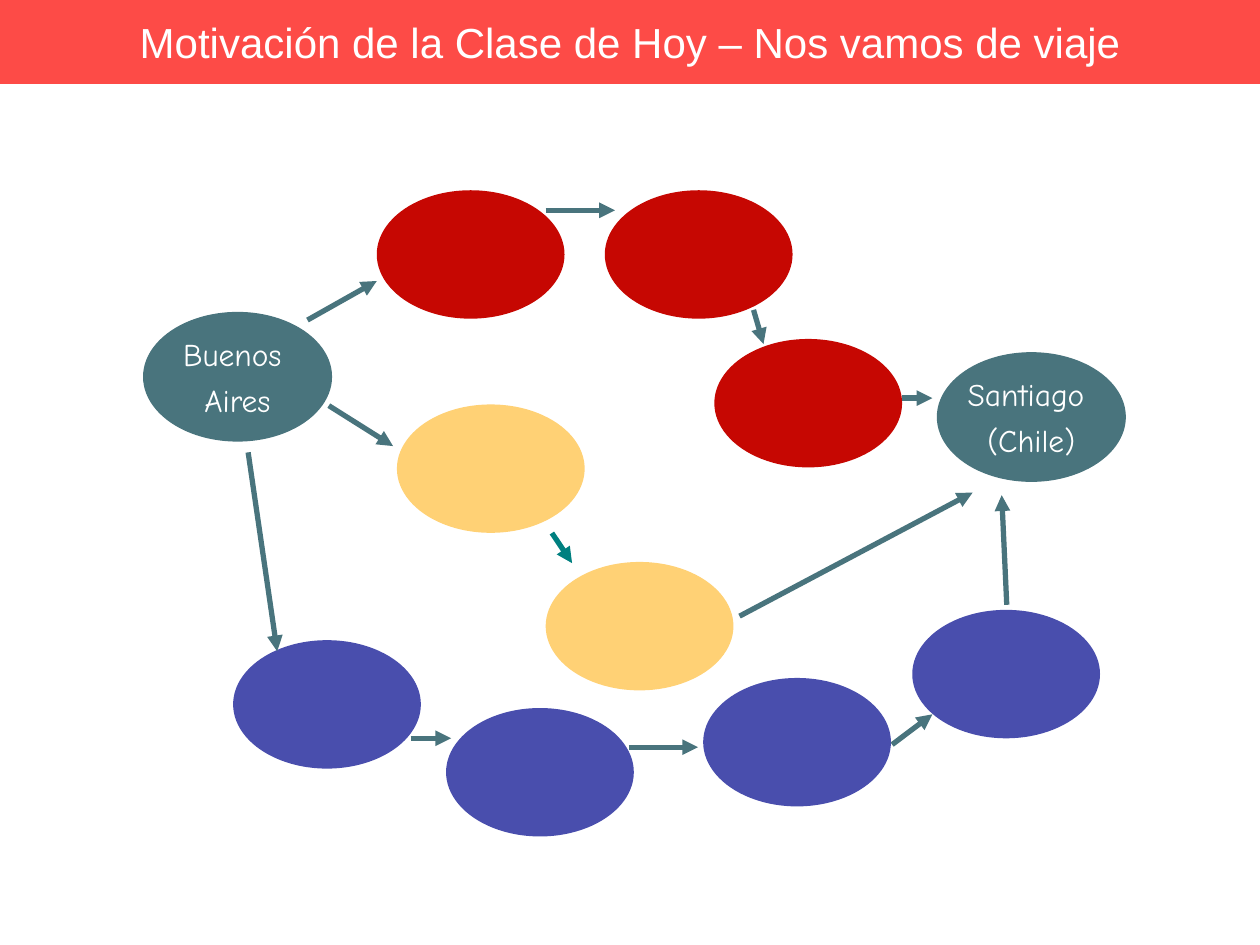
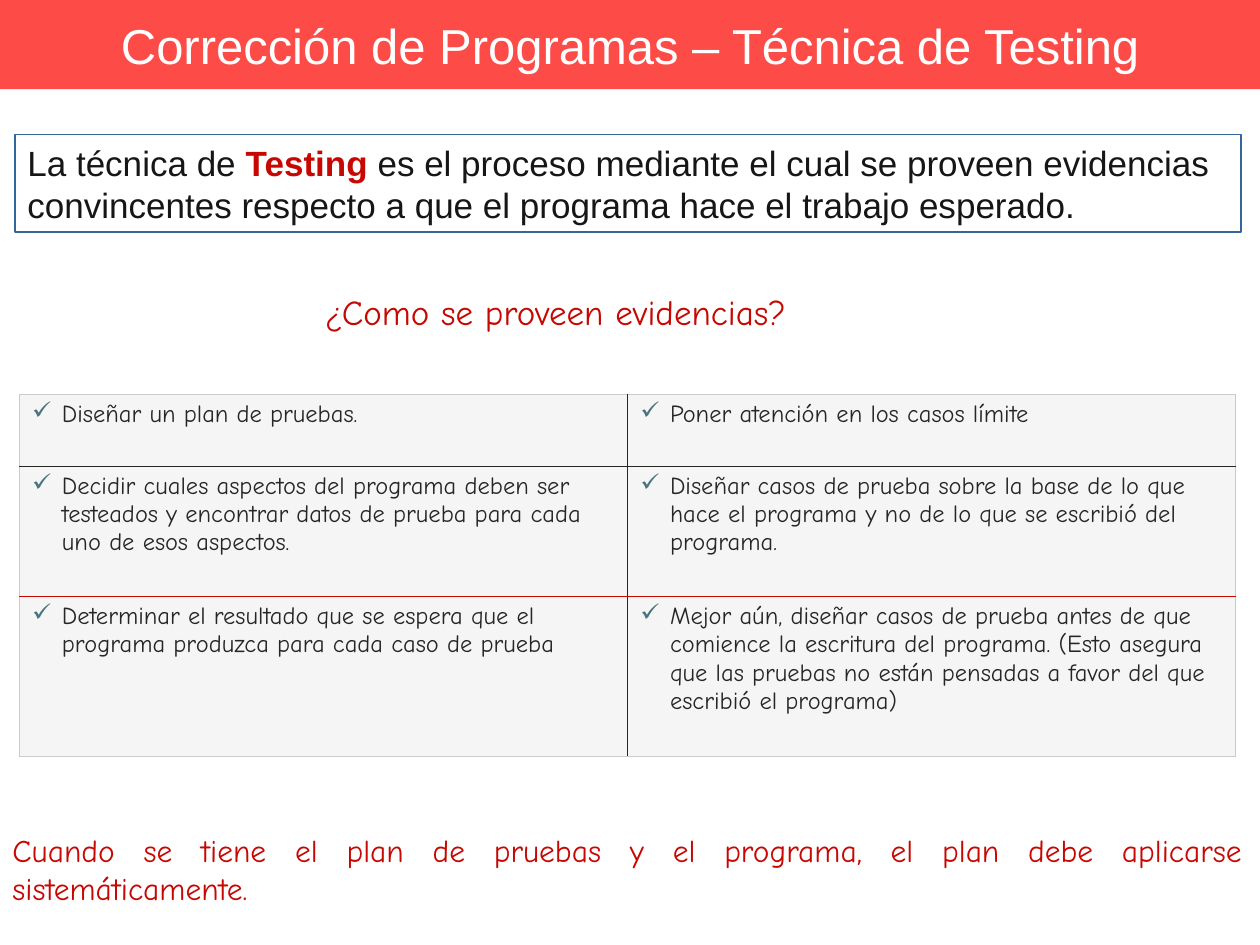
"""Builds two class slides: a travel route diagram and the testing technique."""
from lxml import etree
from pptx import Presentation
from pptx.dml.color import RGBColor
from pptx.enum.shapes import MSO_CONNECTOR, MSO_SHAPE
from pptx.enum.text import MSO_ANCHOR, PP_ALIGN
from pptx.oxml.ns import qn
from pptx.util import Pt

RECTANGLE, OVAL = MSO_SHAPE.RECTANGLE, MSO_SHAPE.OVAL
STRAIGHT = MSO_CONNECTOR.STRAIGHT
TOP, MIDDLE = MSO_ANCHOR.TOP, MSO_ANCHOR.MIDDLE
LEFT, CENTER, JUSTIFY = PP_ALIGN.LEFT, PP_ALIGN.CENTER, PP_ALIGN.JUSTIFY

CORAL, WHITE, SLATE, RED = "FD4B47", "FFFFFF", "49747D", "C60702"
BLUE, YELLOW, TEAL, NAVY = "494EAD", "FFD175", "008080", "336699"
INK, DARK, PALE, GRAY = "161616", "262626", "F5F5F5", "CBCBCB"
ARIAL, COMIC = "Arial", "Comic Neue"


def rgb(value):
    return RGBColor.from_string(value)


def add_box(slide, kind, bounds, fill=None, line=None, paragraphs=(), font=ARIAL,
            size=18, align=LEFT, anchor=MIDDLE, wrap=True, gap=4.5, spacing=None):
    box = slide.shapes.add_shape(kind, *[Pt(length) for length in bounds])
    box.shadow.inherit = False
    if fill:
        box.fill.solid()
        box.fill.fore_color.rgb = rgb(fill)
    else:
        box.fill.background()
    if line:
        box.line.color.rgb = rgb(line)
        box.line.width = Pt(0.75)
    else:
        box.line.fill.background()
    frame = box.text_frame
    frame.word_wrap = wrap
    frame.vertical_anchor = anchor
    for index, pieces in enumerate(paragraphs):
        paragraph = frame.add_paragraph() if index else frame.paragraphs[0]
        paragraph.alignment = align
        if index:
            paragraph.space_before = Pt(gap)
        if spacing:
            paragraph.line_spacing = spacing
        for text, color, bold in pieces:
            run = paragraph.add_run()
            run.text = text
            run.font.name = font
            run.font.size = Pt(size)
            run.font.bold = bold
            run.font.color.rgb = rgb(color)


deck = Presentation()
deck.slide_width, deck.slide_height = Pt(720), Pt(540)

titles = [
    ("Motivación de la Clase de Hoy – Nos vamos de viaje", 24, 48),
    ("Corrección de Programas – Técnica de Testing", 28, 51),
]
slides = []
for title, size, height in titles:
    slide = deck.slides.add_slide(deck.slide_layouts[6])
    add_box(slide, RECTANGLE, (0, 0, 720, height), CORAL,
            paragraphs=[[(title, WHITE, False)]], size=size, align=CENTER)
    slides.append(slide)
trip, testing = slides

stop_size = (107.3, 73.4)
cities = [
    (82.1, 178.6, ("Buenos ", "Aires")),
    (535.7, 201.6, ("Santiago ", "(Chile)")),
]
for left, top, lines in cities:
    add_box(trip, OVAL, (left, top, *stop_size), SLATE, SLATE,
            [[(text, WHITE, False)] for text in lines], COMIC, align=CENTER, wrap=False)

routes = {
    RED: [(215.3, 108.7), (345.6, 108.7), (408.2, 193.7)],
    YELLOW: [(226.8, 231.1), (311.8, 321.1)],
    BLUE: [(133.2, 365.8), (254.9, 404.6), (401.8, 387.4), (521.3, 348.5)],
}
for color, stops in routes.items():
    for stop in stops:
        add_box(trip, OVAL, (*stop, *stop_size), color)

legs = [
    (175.7, 182.9, 215.3, 160.6, SLATE),
    (311.8, 120.2, 351.4, 120.2, SLATE),
    (430.6, 177.1, 436.3, 196.6, SLATE),
    (515.5, 227.5, 532.8, 227.5, SLATE),
    (187.9, 231.8, 224.6, 254.9, SLATE),
    (315.4, 304.6, 326.9, 321.8, TEAL),
    (422.6, 352.1, 555.8, 281.5, SLATE),
    (141.8, 258.5, 158.4, 372.2, SLATE),
    (234.7, 421.9, 257.8, 421.9, SLATE),
    (359.3, 427, 398.9, 427, SLATE),
    (509.8, 425.5, 532.8, 408.2, SLATE),
    (575.3, 345.6, 572.4, 283, SLATE),
]
for *ends, color in legs:
    leg = trip.shapes.add_connector(STRAIGHT, *[Pt(length) for length in ends])
    leg.line.color.rgb = rgb(color)
    leg.line.width = Pt(3)
    etree.SubElement(leg.line._get_or_add_ln(), qn("a:tailEnd"), type="triangle")
    etree.SubElement(leg._element.spPr, qn("a:effectLst"))

definition = [
    ("La técnica de ", INK, False),
    ("Testing", RED, True),
    (" es el proceso mediante el cual se proveen evidencias convincentes respecto "
     "a que el programa hace el trabajo esperado.", INK, False),
]
add_box(testing, RECTANGLE, (8.6, 77, 700.6, 55.6), WHITE, NAVY, [definition], size=20)
add_box(testing, RECTANGLE, (178.6, 154, 323.3, 39.6),
        paragraphs=[[("¿Como se proveen evidencias?", RED, False)]],
        font=COMIC, size=20, align=JUSTIFY, anchor=TOP, spacing=1.35)
closing = ("Cuando se tiene el plan de pruebas y el programa, "
           "el plan debe aplicarse sistemáticamente.")
add_box(testing, RECTANGLE, (0, 471.6, 717, 50.4), paragraphs=[[(closing, RED, False)]],
        font=COMIC, align=JUSTIFY, anchor=TOP)

advice = [
    ("Diseñar un plan de pruebas.",
     "Poner atención en los casos límite"),
    ("Decidir cuales aspectos del programa deben ser testeados y encontrar datos "
     "de prueba para cada uno de esos aspectos.",
     "Diseñar casos de prueba sobre la base de lo que hace el programa y no de lo "
     "que se escribió del programa."),
    ("Determinar el resultado que se espera que el programa produzca para cada "
     "caso de prueba",
     "Mejor aún, diseñar casos de prueba antes de que comience la escritura del "
     "programa. (Esto asegura que las pruebas no están pensadas a favor del que "
     "escribió el programa)"),
]
row_heights = (41, 74.4, 91.2)
column_edges = (GRAY, DARK, GRAY)
row_edges = (GRAY, DARK, RED, GRAY)
plan = testing.shapes.add_table(3, 2, Pt(11.2), Pt(225.4), Pt(695), Pt(206.6)).table
plan.first_row = plan.horz_banding = False
for row, texts in enumerate(advice):
    plan.rows[row].height = Pt(row_heights[row])
    for column, text in enumerate(texts):
        cell = plan.cell(row, column)
        properties = cell._tc.get_or_add_tcPr()
        edges = {"a:lnL": column_edges[column], "a:lnR": column_edges[column + 1],
                 "a:lnT": row_edges[row], "a:lnB": row_edges[row + 1]}
        for edge, color in edges.items():
            border = etree.SubElement(properties, qn(edge), w=str(Pt(0.45)))
            paint = etree.SubElement(border, qn("a:solidFill"))
            etree.SubElement(paint, qn("a:srgbClr"), val=color)
        cell.fill.solid()
        cell.fill.fore_color.rgb = rgb(PALE)
        paragraph = cell.text_frame.paragraphs[0]
        bullet = paragraph._p.get_or_add_pPr()
        bullet.set("marL", str(Pt(17)))
        bullet.set("indent", str(-Pt(17)))
        tint = etree.SubElement(bullet, qn("a:buClr"))
        etree.SubElement(tint, qn("a:srgbClr"), val=SLATE)
        etree.SubElement(bullet, qn("a:buChar"), char="✓")
        run = paragraph.add_run()
        run.text = text
        run.font.name = COMIC
        run.font.size = Pt(14)
        run.font.color.rgb = rgb(DARK)

deck.save("out.pptx")
